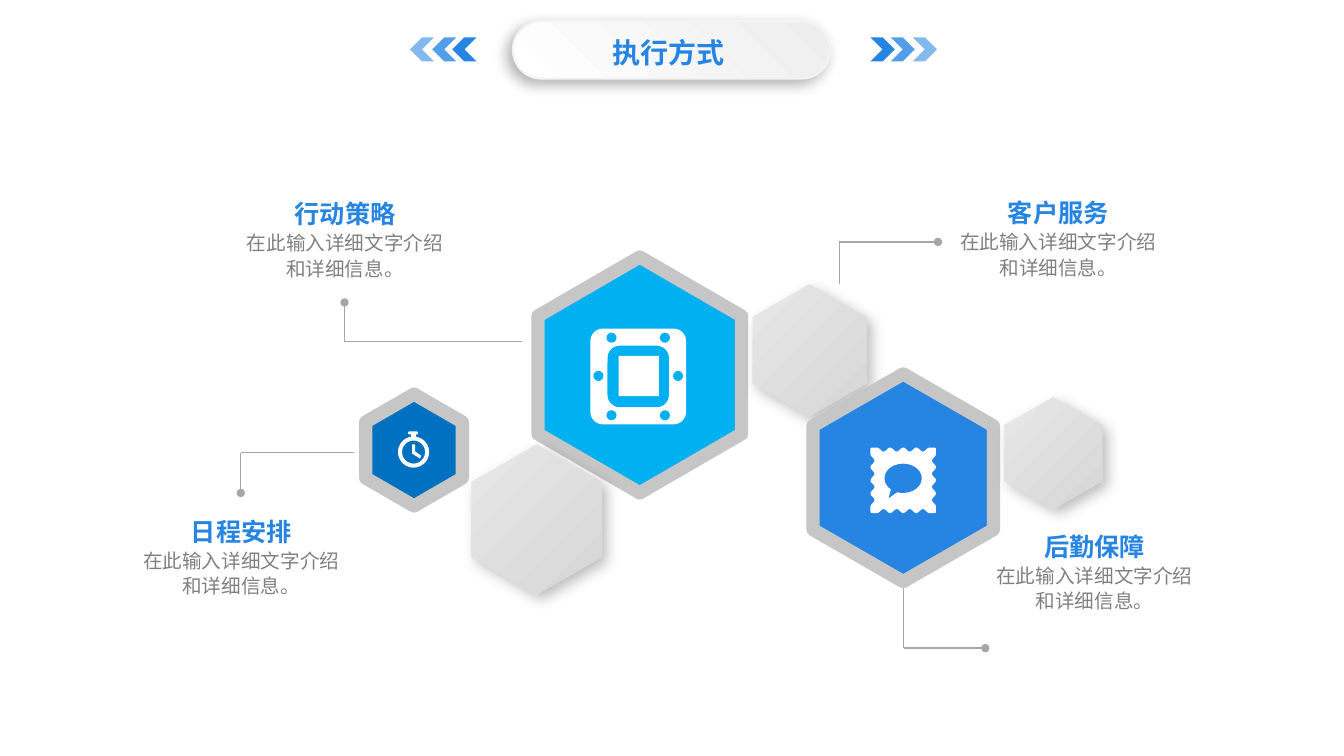
from math import cos, pi

from lxml import etree
from pptx import Presentation
from pptx.dml.color import RGBColor
from pptx.enum.shapes import MSO_CONNECTOR, MSO_SHAPE
from pptx.enum.text import MSO_ANCHOR, PP_ALIGN
from pptx.oxml.ns import qn
from pptx.util import Pt

PX = 9144  # 100 px to the inch
RECT, ROUND, OVAL = MSO_SHAPE.RECTANGLE, MSO_SHAPE.ROUNDED_RECTANGLE, MSO_SHAPE.OVAL
CHEVRON, DONUT, CALLOUT = MSO_SHAPE.CHEVRON, MSO_SHAPE.DONUT, MSO_SHAPE.OVAL_CALLOUT
STRAIGHT = MSO_CONNECTOR.STRAIGHT
CENTER, TOP, MIDDLE = PP_ALIGN.CENTER, MSO_ANCHOR.TOP, MSO_ANCHOR.MIDDLE
BLUE, SKY, NAVY, WHITE = "2684E2", "00B0F0", "0070C0", "FFFFFF"
RING, RULE, GREY_TEXT = "C6C6C6", "A6A6A6", "808080"
GREY = ("E8E8E8", "D6D6D6")


def paint(shape, colours, angle=45, edge=None, edge_pt=0, shadow=None, alpha=100):
    """Fill with one colour or a two-colour gradient; shadow is its opacity."""
    shape.shadow.inherit = False
    if len(colours) == 2:
        shape.fill.gradient()
        shape.fill.gradient_angle = 360 - angle
        targets = [stop.color for stop in shape.fill.gradient_stops]
    else:
        shape.fill.solid()
        targets = [shape.fill.fore_color]
    for target, colour in zip(targets, colours):
        target.rgb = RGBColor.from_string(colour)
    if edge:
        shape.line.color.rgb = RGBColor.from_string(edge)
        shape.line.width = Pt(edge_pt)
        etree.SubElement(shape.line._get_or_add_ln(), qn("a:round"))
    else:
        shape.line.fill.background()
    properties = shape.element.spPr
    if alpha < 100:
        rgb = properties.find(qn("a:solidFill"))[0]
        etree.SubElement(rgb, qn("a:alpha"), val=str(alpha * 1000))
    if shadow:
        outer = etree.SubElement(properties.find(qn("a:effectLst")), qn("a:outerShdw"),
                                 blurRad=str(Pt(10)), dist=str(Pt(5)),
                                 dir=str(angle * 60000), algn="ctr", rotWithShape="0")
        black = etree.SubElement(outer, qn("a:srgbClr"), val="000000")
        etree.SubElement(black, qn("a:alpha"), val=str(shadow * 1000))


def write(frame, lines, **layout):
    """Fill a text frame with centred (text, size, font, colour, bold) lines."""
    for name, value in layout.items():
        setattr(frame, name, value)
    for i, (text, size, typeface, colour, bold) in enumerate(lines):
        paragraph = frame.add_paragraph() if i else frame.paragraphs[0]
        paragraph.alignment = CENTER
        paragraph.space_before = Pt(1.5 if i else 0)
        run = paragraph.add_run()
        run.text = text
        for name, value in {"size": Pt(size), "name": typeface, "bold": bold}.items():
            setattr(run.font, name, value)
        run.font.color.rgb = RGBColor.from_string(colour)
        etree.SubElement(run.font._element, qn("a:ea"), typeface="Noto Sans CJK SC")


deck = Presentation()
deck.slide_width, deck.slide_height = 1334 * PX, 750 * PX
slide = deck.slides.add_slide(deck.slide_layouts[5])
shapes = slide.shapes

# Title pill
pill = shapes.add_shape(ROUND, 509 * PX, 21 * PX, 315 * PX, 57 * PX)
pill.adjustments[0] = 0.5
paint(pill, ("EEEEEE", WHITE), angle=135, edge="F4F4F4", edge_pt=1.5, shadow=30)
heading = shapes.title
heading.left, heading.top, heading.width, heading.height = (
    v * PX for v in (549, 31, 230, 41))
write(heading.text_frame, [("执行方式", 20, "Roboto Condensed", BLUE, True)],
      vertical_anchor=MIDDLE, margin_top=4 * PX, margin_bottom=4 * PX)
pill.element.addnext(heading.element)

# Chevrons fading away from the pill on both sides
for right_x, left_x, opacity in ((864, 449, 100), (884, 429, 79), (906, 407, 57)):
    for x, turn in ((right_x, 0), (left_x, 180)):
        chevron = shapes.add_shape(CHEVRON, x * PX, 37 * PX, 24 * PX, 24 * PX)
        chevron.rotation = turn
        paint(chevron, (BLUE,), alpha=opacity)

# Elbow leaders ending in a dot
for leader in (((897, 565), (897, 643), (978, 643)),
               ((351, 449), (239, 449), (239, 489)),
               ((518, 339), (342, 339), (342, 300)),
               ((833, 282), (833, 240), (931, 240))):
    for start, end in zip(leader, leader[1:]):
        line = shapes.add_connector(STRAIGHT, *(v * PX for v in start + end))
        line.line.color.rgb = RGBColor.from_string(RULE)
        line.line.width = Pt(1)
        if end == leader[-1]:
            etree.SubElement(line.line._get_or_add_ln(), qn("a:tailEnd"), type="oval")
        etree.SubElement(line.element.spPr, qn("a:effectLst"))

# Hexagons: left, top, width, height, colours
ringed = {"edge": RING, "edge_pt": 9.5}
raised = {"shadow": 25}
outlines = []
for x, y, w, h, colours, style in (
        (534, 255, 202, 234, (SKY,), ringed), (468, 441, 129, 149, GREY, raised),
        (747, 282, 113, 131, GREY, raised), (807, 371, 179, 206, (BLUE,), ringed),
        (997, 394, 97, 111, GREY, raised), (363, 391, 96, 111, (NAVY,), ringed)):
    hexagon = [(x, y + h * 3 / 4), (x + w / 2, y + h), (x + w, y + h * 3 / 4),
               (x + w, y + h / 4), (x + w / 2, y), (x, y + h / 4)]
    outlines.append((hexagon, colours, style))

# Stamp with four notches a side, and the hands of the stopwatch
notch_pitch, stamp_side, stamp_x, stamp_y = 13, 65, 864, 444
top_edge = []
for s in range(1, stamp_side):
    in_notches = notch_pitch / 2 < s < stamp_side - notch_pitch / 2
    depth = 2 * (1 + cos(2 * pi * s / notch_pitch)) if in_notches else 0
    top_edge.append((s - stamp_side / 2, depth - stamp_side / 2))
stamp = []
for quarter in range(4):
    stamp += top_edge
    top_edge = [(-v, u) for u, v in top_edge]
stamp = [(stamp_x + stamp_side / 2 + u, stamp_y + stamp_side / 2 + v) for u, v in stamp]
hands = [(409, 441), (412, 441), (412, 448), (418, 452), (417, 455), (409, 450)]
outlines += [(stamp, (WHITE,), {}), (hands, (WHITE,), {})]

for points, colours, style in outlines:
    corners = [(u * PX, v * PX) for u, v in points]
    builder = shapes.build_freeform(*corners[0], scale=1.0)
    builder.add_line_segments(corners[1:], close=True)
    paint(builder.convert_to_shape(), colours, **style)

# Icon parts: preset, left, top, width, height, colour, adjustments
icon_parts = [
    (CALLOUT, 878, 460, 37, 29, BLUE, (-0.39, 0.68)),
    (DONUT, 395, 433, 31, 31, WHITE, (0.13,)),
    (ROUND, 405, 428, 10, 3, WHITE, (0.5,)),
    (RECT, 408, 430, 5, 5, WHITE, ()),
    (ROUND, 586, 326, 95, 95, WHITE, (0.13,)),
    (ROUND, 603, 343, 61, 61, SKY, (0.2,)),
    (RECT, 614, 353, 40, 40, WHITE, ()),
]
icon_parts += [(OVAL, x, y, 10, 10, SKY, ()) for x, y in (
    (602, 330), (655, 330), (589, 368), (668, 368), (602, 407), (655, 407))]
for preset, x, y, w, h, colour, adjustments in icon_parts:
    part = shapes.add_shape(preset, x * PX, y * PX, w * PX, h * PX)
    for i, value in enumerate(adjustments):
        part.adjustments[i] = value
    paint(part, (colour,))

# Captions
for topic, x, y in (("行动策略", 234, 196), ("日程安排", 131, 511),
                    ("后勤保障", 978, 526), ("客户服务", 942, 195)):
    caption = shapes.add_textbox(x * PX, y * PX, 217 * PX, 102 * PX)
    write(caption.text_frame, [
        (topic, 18, "Noto Sans CJK SC", BLUE, True),
        ("在此输入详细文字介绍", 14, "Roboto Condensed", GREY_TEXT, False),
        ("和详细信息。", 14, "Roboto Condensed", GREY_TEXT, False),
    ], word_wrap=True, vertical_anchor=TOP, margin_top=PX)

deck.save("out.pptx")
